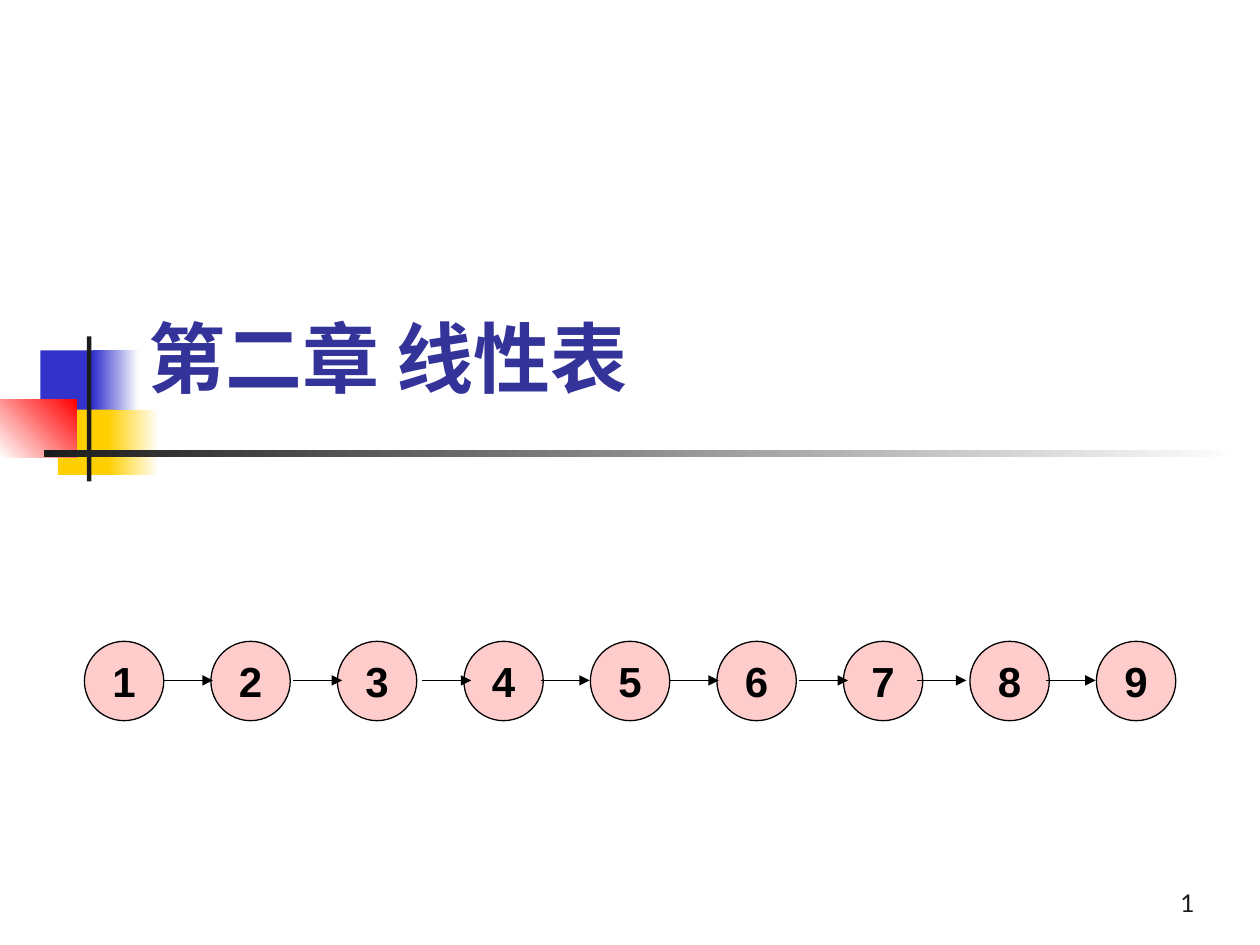
from lxml import etree
from pptx import Presentation
from pptx.dml.color import RGBColor
from pptx.enum.shapes import MSO_CONNECTOR, MSO_SHAPE
from pptx.enum.text import MSO_ANCHOR, PP_ALIGN
from pptx.oxml.ns import qn
from pptx.util import Inches, Pt

RECT, OVAL = MSO_SHAPE.RECTANGLE, MSO_SHAPE.OVAL
STRAIGHT = MSO_CONNECTOR.STRAIGHT
LEFT, CENTER, RIGHT = PP_ALIGN.LEFT, PP_ALIGN.CENTER, PP_ALIGN.RIGHT
MIDDLE, BOTTOM = MSO_ANCHOR.MIDDLE, MSO_ANCHOR.BOTTOM

BLUE = RGBColor(0x33, 0x33, 0xCC)
NAVY = RGBColor(0x33, 0x33, 0x99)
YELLOW = RGBColor(0xFF, 0xCF, 0x01)
RED = RGBColor(0xFF, 0x00, 0x00)
PINK = RGBColor(0xFF, 0xCC, 0xCC)
DARK = RGBColor(0x1C, 0x1C, 0x1C)
BLACK = RGBColor(0x00, 0x00, 0x00)
WHITE = RGBColor(0xFF, 0xFF, 0xFF)

prs = Presentation()
prs.slide_width, prs.slide_height = Inches(10), Inches(7.5)
COL, ROW = prs.slide_width / 100, prs.slide_height / 75
s = prs.slides.add_slide(prs.slide_layouts[6])


def grid(x, y, w, h):
    return int(x * COL), int(y * ROW), int(w * COL), int(h * ROW)


def write(sp, text, font, size, color, bold, align, anchor, wrap):
    tf = sp.text_frame
    tf.text = text
    tf.word_wrap = wrap
    tf.vertical_anchor = anchor
    p = tf.paragraphs[0]
    p.alignment = align
    r = p.runs[0]
    r.font.name, r.font.size, r.font.bold = font, Pt(size), bold
    r.font.color.rgb = color


ornament = [
    ((3.2, 27.8, 4.8, 5.2), BLUE, BLUE, 0),
    ((7.4, 27.8, 3.6, 5.2), BLUE, WHITE, 0),
    ((4.6, 32.5, 4.6, 5.2), YELLOW, YELLOW, 0),
    ((8.6, 32.5, 4, 5.2), YELLOW, WHITE, 0),
    ((0, 31.7, 6.1, 4.6), WHITE, RED, 45),
    ((6.9, 26.7, 0.35, 11.5), DARK, DARK, 0),
    ((3.5, 35.7, 95.1, 0.6), DARK, WHITE, 0),
]
for box, start, end, angle in ornament:
    sp = s.shapes.add_shape(RECT, *grid(*box))
    sp.shadow.inherit = False
    sp.line.fill.background()
    if start == end:
        sp.fill.solid()
        sp.fill.fore_color.rgb = start
    else:
        sp.fill.gradient()
        sp.fill.gradient_angle = angle
        for stop, color, position in zip(sp.fill.gradient_stops, (start, end), (0, 1)):
            stop.color.rgb = color
            stop.position = position

number = s.shapes.add_textbox(*grid(75, 68.3, 20.8, 5))
write(number, "1", "Lato", 14, DARK, False, RIGHT, BOTTOM, True)
title = s.shapes.add_textbox(*grid(10.8, 20, 85, 12.5))
write(title, "第二章 线性表", "Arial", 44, NAVY, True, LEFT, BOTTOM, True)

NODES = 9
NODE_LEFT, NODE_TOP, NODE_SIZE, NODE_PITCH = 6.7, 50.9, 6.3, 10.04
for i in range(NODES):
    sp = s.shapes.add_shape(OVAL, *grid(NODE_LEFT + i * NODE_PITCH, NODE_TOP, NODE_SIZE, NODE_SIZE))
    sp.shadow.inherit = False
    sp.fill.solid()
    sp.fill.fore_color.rgb = PINK
    sp.line.color.rgb = BLACK
    sp.line.width = Pt(0.75)
    write(sp, str(i + 1), "Arial", 24, BLACK, True, CENTER, MIDDLE, False)

ARROW_LEFT, ARROW_Y, ARROW_LENGTH = 13, 54, 3.9
TRIPLE_PITCH, ARROW_PITCH = 29.9, 10.25
for i in range(NODES - 1):
    triple, step = divmod(i, 3)
    x, y, w, h = grid(ARROW_LEFT + triple * TRIPLE_PITCH + step * ARROW_PITCH, ARROW_Y, ARROW_LENGTH, 0)
    arrow = s.shapes.add_connector(STRAIGHT, x, y, x + w, y + h)
    arrow.line.color.rgb = BLACK
    arrow.line.width = Pt(0.75)
    etree.SubElement(arrow.line._get_or_add_ln(), qn("a:tailEnd"), type="triangle")
    etree.SubElement(arrow._element.spPr, qn("a:effectLst"))

prs.save("out.pptx")
